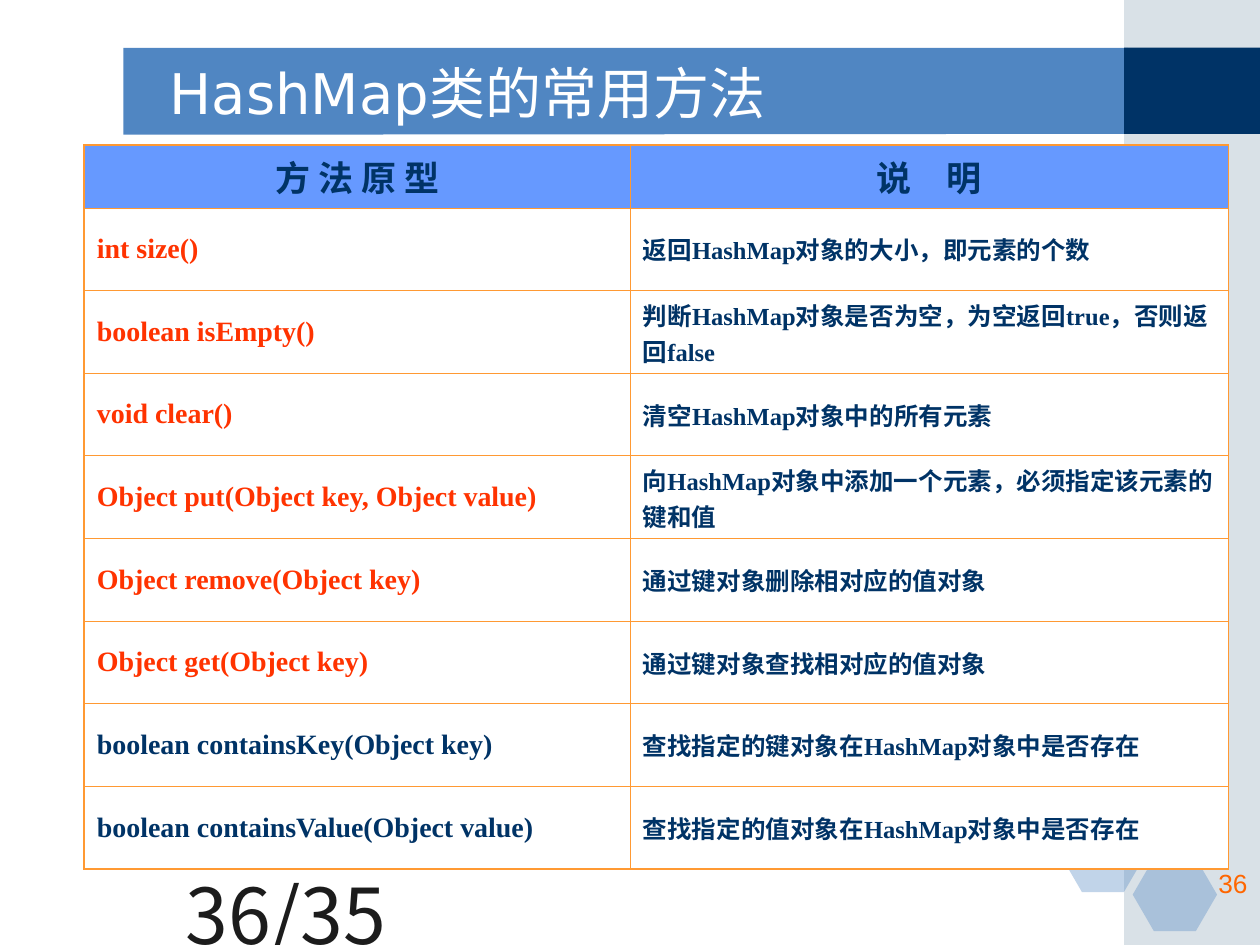
"""Build the slide listing the common methods of the HashMap class."""
from lxml import etree
from pptx import Presentation
from pptx.dml.color import RGBColor
from pptx.enum import shapes, text
from pptx.oxml import ns
from pptx.util import Pt

NAVY, BLUE, ORANGE, RED = "003366", "5086C2", "FF9933", "FF3300"
CJK, SERIF = "Noto Sans CJK SC", "Times New Roman"
LEFT, CENTER, RIGHT = text.PP_ALIGN.LEFT, text.PP_ALIGN.CENTER, text.PP_ALIGN.RIGHT
RECT, HEXAGON = shapes.MSO_SHAPE.RECTANGLE, shapes.MSO_SHAPE.HEXAGON

BANNER = [(70.5, 27.3), (644.5, 27.3), (644.5, 76.5), (70.5, 77)]
PANELS = [((642.3, 0, 77.7, 540), "A0B5C4", 40), ((642.3, 27.3, 77.7, 49.2), NAVY, 100)]
HEXAGONS = [(606.2, 468), (648, 444.2), (647.3, 490.3)]
LABELS = [
    ("HashMap类的常用方法", (90, 30, 528, 45), 32, "DejaVu Sans", "FFFFFF", LEFT, text.MSO_ANCHOR.MIDDLE),
    ("36/35", (0, 492, 228, 36), 44, CJK, "1C1C1C", RIGHT, text.MSO_ANCHOR.TOP),
    ("36", (570, 492, 150, 36), 15, "Arial", "FF6600", RIGHT, text.MSO_ANCHOR.TOP),
]
HEADER = ("方 法 原 型", "说　明")
METHODS = [
    ("int size()", "返回HashMap对象的大小，即元素的个数", RED),
    ("boolean isEmpty()", "判断HashMap对象是否为空，为空返回true，否则返回false", RED),
    ("void clear()", "清空HashMap对象中的所有元素", RED),
    ("Object put(Object key, Object value)", "向HashMap对象中添加一个元素，必须指定该元素的键和值", RED),
    ("Object remove(Object key)", "通过键对象删除相对应的值对象", RED),
    ("Object get(Object key)", "通过键对象查找相对应的值对象", RED),
    ("boolean containsKey(Object key)", "查找指定的键对象在HashMap对象中是否存在", NAVY),
    ("boolean containsValue(Object value)", "查找指定的值对象在HashMap对象中是否存在", NAVY),
]
COLS = (312, 341.8)
HEADER_H, ROW_H = 36, 47.25


def rgb(value):
    """Return the colour for a hex string."""
    return RGBColor.from_string(value)


def paint(s, color, alpha=100):
    """Fill a shape without outline or shadow."""
    s.shadow.inherit = False
    s.line.fill.background()
    s.fill.solid()
    s.fill.fore_color.rgb = rgb(color)
    if alpha < 100:
        clr = s.fill._xPr.find(".//" + ns.qn("a:srgbClr"))
        etree.SubElement(clr, ns.qn("a:alpha"), val=str(alpha * 1000))


def write(tf, words, size, font, color, align, bold=False):
    """Write one run into the first paragraph."""
    p = tf.paragraphs[0]
    p.alignment = align
    r = p.add_run()
    r.text = words
    r.font.size, r.font.name, r.font.bold = Pt(size), font, bold
    r.font.color.rgb = rgb(color)
    etree.SubElement(r._r.get_or_add_rPr(), ns.qn("a:ea"), typeface=CJK)


def border(cell, widths):
    """Set left, right, top and bottom borders of a cell."""
    tc_pr = cell._tc.get_or_add_tcPr()
    for i, (side, width) in enumerate(zip("LRTB", widths)):
        ln = etree.Element(ns.qn("a:ln" + side), w=str(Pt(width)))
        fill = etree.SubElement(ln, ns.qn("a:solidFill"))
        etree.SubElement(fill, ns.qn("a:srgbClr"), val=ORANGE)
        tc_pr.insert(i, ln)


def add_methods(slide):
    """Add the table of methods."""
    rows = [[(h, 20, "Courier New", NAVY, CENTER) for h in HEADER]]
    rows += [[(m, 16, SERIF, c, LEFT), (d, 14, SERIF, NAVY, LEFT)] for m, d, c in METHODS]
    last = len(METHODS)
    height = HEADER_H + ROW_H * last
    table = slide.shapes.add_table(last + 1, 2, Pt(48.2), Pt(82.8), Pt(sum(COLS)), Pt(height)).table
    for col, width in zip(table.columns, COLS):
        col.width = Pt(width)
    for i, row in enumerate(rows):
        table.rows[i].height = Pt(ROW_H if i else HEADER_H)
        for j, content in enumerate(row):
            cell = table.cell(i, j)
            cell.vertical_anchor = text.MSO_ANCHOR.MIDDLE
            cell.fill.solid()
            cell.fill.fore_color.rgb = rgb("FFFFFF" if i else "6699FF")
            write(cell.text_frame, *content, bold=True)
            border(cell, [1.08 if outer else 0.45 for outer in (j == 0, j == 1, i == 0, i == last)])


def main():
    """Assemble and save the slide."""
    prs = Presentation()
    prs.slide_width, prs.slide_height = Pt(720), Pt(540)
    slide = prs.slides.add_slide(prs.slide_layouts[6])
    points = [(Pt(x), Pt(y)) for x, y in BANNER]
    builder = slide.shapes.build_freeform(*points[0])
    builder.add_line_segments(points[1:], close=True)
    paint(builder.convert_to_shape(), BLUE)
    for box, color, alpha in PANELS:
        paint(slide.shapes.add_shape(RECT, *map(Pt, box)), color, alpha)
    for x, y in HEXAGONS:
        s = slide.shapes.add_shape(HEXAGON, Pt(x), Pt(y), Pt(48.2), Pt(41.8))
        s.adjustments[0] = 0.29
        paint(s, BLUE, 35)
    for words, box, size, font, color, align, anchor in LABELS:
        tf = slide.shapes.add_textbox(*map(Pt, box)).text_frame
        tf.word_wrap, tf.vertical_anchor = True, anchor
        write(tf, words, size, font, color, align)
    add_methods(slide)
    prs.save("out.pptx")


if __name__ == "__main__":
    main()
